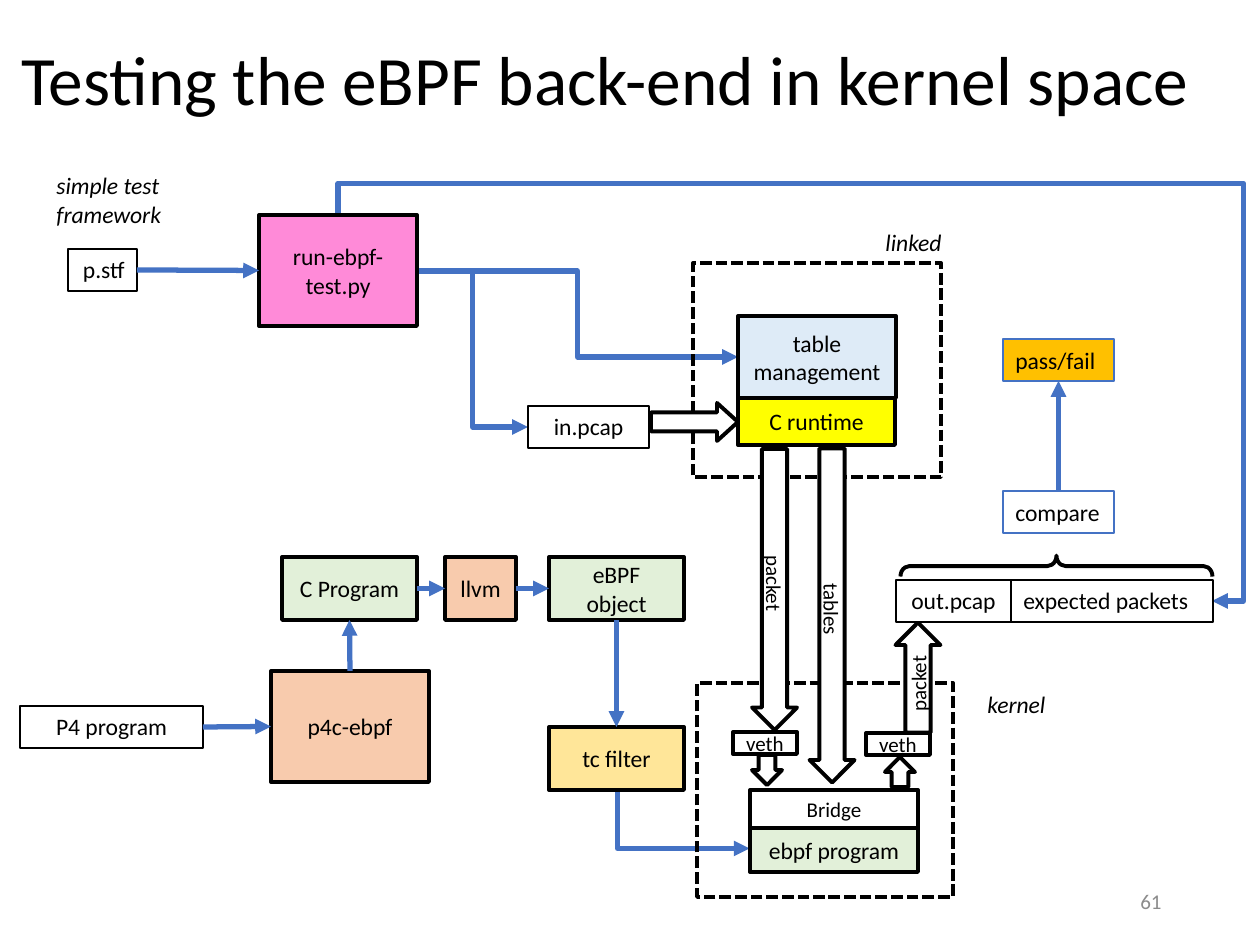
"""Build a slide that shows how the eBPF back-end is tested in kernel space."""
from lxml.etree import SubElement
from pptx import Presentation
from pptx.dml.color import RGBColor
from pptx.enum.dml import MSO_LINE
from pptx.enum.shapes import MSO_CONNECTOR, MSO_SHAPE
from pptx.enum.text import MSO_ANCHOR, PP_ALIGN
from pptx.oxml.ns import qn
from pptx.util import Emu, Pt

SCALE = 914400 / 126
BLACK = RGBColor(0x00, 0x00, 0x00)
WHITE = RGBColor(0xFF, 0xFF, 0xFF)
GRAY = RGBColor(0x8C, 0x8C, 0x8C)
BLUE = RGBColor(0x44, 0x72, 0xC4)
PALE_BLUE = RGBColor(0xDE, 0xEB, 0xF7)
GREEN = RGBColor(0xE2, 0xF0, 0xD9)
PEACH = RGBColor(0xF8, 0xCB, 0xAD)
PINK = RGBColor(0xFF, 0x8A, 0xD8)
YELLOW = RGBColor(0xFF, 0xFF, 0x00)
SAND = RGBColor(0xFF, 0xE6, 0x99)
ORANGE = RGBColor(0xFF, 0xC0, 0x00)
TOP, LEFT, BOTTOM, RIGHT = range(4)


def px(*values):
    return [Emu(round(value * SCALE)) for value in values]


class Diagram:
    """Holds the text and line style and the slide being drawn."""

    font = "Calibri"
    size = 13.5
    small = 12
    outline = 2.25

    def __init__(self, page):
        self.page = page

    def add_text(self, box, text, align=PP_ALIGN.CENTER, anchor=MSO_ANCHOR.MIDDLE,
                 wrap=True, spacing=1.0, **font):
        frame = box.text_frame
        frame.word_wrap = wrap
        frame.vertical_anchor = anchor
        values = {"name": self.font, "size": self.size, "italic": False} | font
        values["size"] = Pt(values["size"])
        color = values.pop("color", BLACK)
        for index, line in enumerate(text.split("\n")):
            para = frame.add_paragraph() if index else frame.paragraphs[0]
            para.alignment = align
            para.line_spacing = spacing
            span = para.add_run()
            span.text = line
            span.font.color.rgb = color
            for key, value in values.items():
                setattr(span.font, key, value)

    def label(self, text, area, **style):
        box = self.page.shapes.add_textbox(*px(*area))
        self.add_text(box, text, **({"align": PP_ALIGN.LEFT} | style))

    def shape(self, kind, area, fill=None, line=BLACK, width=outline,
              dash=None, rotation=0, adjust=()):
        shape = self.page.shapes.add_shape(kind, *px(*area))
        shape.shadow.inherit = False
        shape.rotation = rotation
        for index, value in enumerate(adjust):
            shape.adjustments[index] = value
        if fill is None:
            shape.fill.background()
        else:
            shape.fill.solid()
            shape.fill.fore_color.rgb = fill
        shape.line.color.rgb = line
        shape.line.width = Pt(width)
        if dash:
            shape.line.dash_style = dash
        return shape

    def box(self, text, area, fill=None, line=BLACK, width=outline, **style):
        box = self.shape(MSO_SHAPE.RECTANGLE, area, fill, line, width)
        self.add_text(box, text, **style)
        return box

    def file_box(self, text, area, align=PP_ALIGN.CENTER):
        return self.box(text, area, width=0.75, align=align, anchor=MSO_ANCHOR.TOP)

    def frame(self, area):
        self.shape(MSO_SHAPE.RECTANGLE, area, dash=MSO_LINE.SQUARE_DOT)

    def block_arrow(self, area, rotation=0, text="", adjust=(0.56, 0.5)):
        arrow = self.shape(MSO_SHAPE.RIGHT_ARROW, area, WHITE,
                           rotation=rotation, adjust=adjust)
        if text:
            self.add_text(arrow, text, size=self.small)

    def connector(self, kind, ends):
        connector = self.page.shapes.add_connector(kind, *px(*ends))
        connector.line.color.rgb = BLUE
        connector.line.width = Pt(3)
        properties = connector._element.spPr
        SubElement(properties.find(qn("a:ln")), qn("a:tailEnd"), type="triangle")
        SubElement(properties, qn("a:effectLst"))
        return connector

    def link(self, start, start_side, end, end_side):
        connector = self.connector(MSO_CONNECTOR.STRAIGHT, (0, 0, 0, 0))
        connector.begin_connect(start, start_side)
        connector.end_connect(end, end_side)

    def elbow(self, ends):
        return self.connector(MSO_CONNECTOR.ELBOW, ends)

    def turned_elbow(self, area, preset, adjust=()):
        left, top, width, height = area
        connector = self.elbow((left, top, left + width, top + height))
        properties = connector._element.spPr
        transform = properties.find(qn("a:xfrm"))
        transform.set("rot", str(270 * 60000))
        transform.set("flipH", "1")
        geometry = properties.find(qn("a:prstGeom"))
        geometry.set("prst", preset)
        guides = geometry.find(qn("a:avLst"))
        if guides is None:
            guides = SubElement(geometry, qn("a:avLst"))
        for number, value in enumerate(adjust, 1):
            SubElement(guides, qn("a:gd"), name=f"adj{number}", fmla=f"val {value}")


def main():
    deck = Presentation()
    deck.slide_width, deck.slide_height = px(1260, 945)
    diagram = Diagram(deck.slides.add_slide(deck.slide_layouts[6]))
    small = diagram.small

    diagram.label("Testing the eBPF back-end in kernel space", (9, 39, 1242, 88),
                  size=39.6, spacing=0.9)
    diagram.turned_elbow((582, -29, 386, 874), "bentConnector4", (-8200, 103600))
    diagram.turned_elbow((654, 753, 59, 132), "bentConnector2")
    diagram.elbow((417, 271, 738, 357))
    diagram.elbow((417, 271, 528, 427))

    test_file = diagram.file_box("p.stf", (68, 249, 69, 42), PP_ALIGN.RIGHT)
    runner = diagram.box("run-ebpf-test.py", (259, 215, 158, 111), PINK)
    program = diagram.file_box("P4 program", (20, 706, 183, 42))
    compiler = diagram.box("p4c-ebpf", (271, 671, 158, 111), PEACH)
    source = diagram.box("C Program", (282, 557, 135, 63), GREEN)
    llvm = diagram.box("llvm", (445, 557, 71, 63), PEACH)
    binary = diagram.box("eBPF object", (549, 557, 135, 63), GREEN)
    traffic_filter = diagram.box("tc filter", (549, 727, 135, 63), SAND)
    diagram.box("table management", (738, 316, 158, 82), PALE_BLUE)
    diagram.box("C runtime", (738, 398, 157, 47), YELLOW)
    diagram.file_box("in.pcap", (528, 406, 121, 42))
    diagram.file_box("out.pcap", (896, 580, 115, 42))
    diagram.file_box("expected packets", (1011, 580, 202, 42), PP_ALIGN.LEFT)
    verdict = {"line": BLUE, "width": 1.5, "align": PP_ALIGN.LEFT}
    result = diagram.box("pass/fail", (1003, 339, 111, 42), ORANGE, **verdict)
    compare = diagram.box("compare", (1003, 491, 111, 42), **verdict)
    diagram.shape(MSO_SHAPE.RIGHT_BRACE, (1046, 410, 21, 312), rotation=270,
                  adjust=(0.43, 0.5))

    for start, start_side, end, end_side in (
        (test_file, RIGHT, runner, LEFT),
        (program, RIGHT, compiler, LEFT),
        (compiler, TOP, source, BOTTOM),
        (source, RIGHT, llvm, LEFT),
        (llvm, RIGHT, binary, LEFT),
        (binary, BOTTOM, traffic_filter, TOP),
        (compare, TOP, result, BOTTOM),
    ):
        diagram.link(start, start_side, end, end_side)

    diagram.frame((693, 263, 248, 214))
    diagram.frame((697, 683, 256, 214))
    for area in ((733, 732, 64, 22), (866, 733, 64, 22)):
        diagram.box("veth", area, WHITE, size=small)
    diagram.box("Bridge", (750, 790, 168, 81), WHITE, size=small,
                anchor=MSO_ANCHOR.TOP)
    diagram.box("ebpf program", (750, 828, 168, 44), GREEN)

    diagram.block_arrow((752, 755, 30, 30), 90)
    diagram.block_arrow((885, 757, 30, 30), 270)
    diagram.block_arrow((651, 403, 87, 38), adjust=(0.5, 0.55))
    diagram.block_arrow((634, 567, 281, 45), 90, "packet")
    diagram.block_arrow((665, 593, 334, 45), 90, "tables")
    diagram.block_arrow((863, 655, 110, 45), 270, "packet")

    for text, area in (
        ("simple test\nframework", (44, 165, 131, 71)),
        ("linked", (873, 222, 83, 42)),
        ("kernel", (975, 684, 84, 42)),
    ):
        diagram.label(text, area, italic=True, wrap=False, anchor=MSO_ANCHOR.TOP)
    diagram.label("61", (890, 876, 284, 50), align=PP_ALIGN.RIGHT,
                  size=small, color=GRAY)
    deck.save("out.pptx")


if __name__ == "__main__":
    main()
